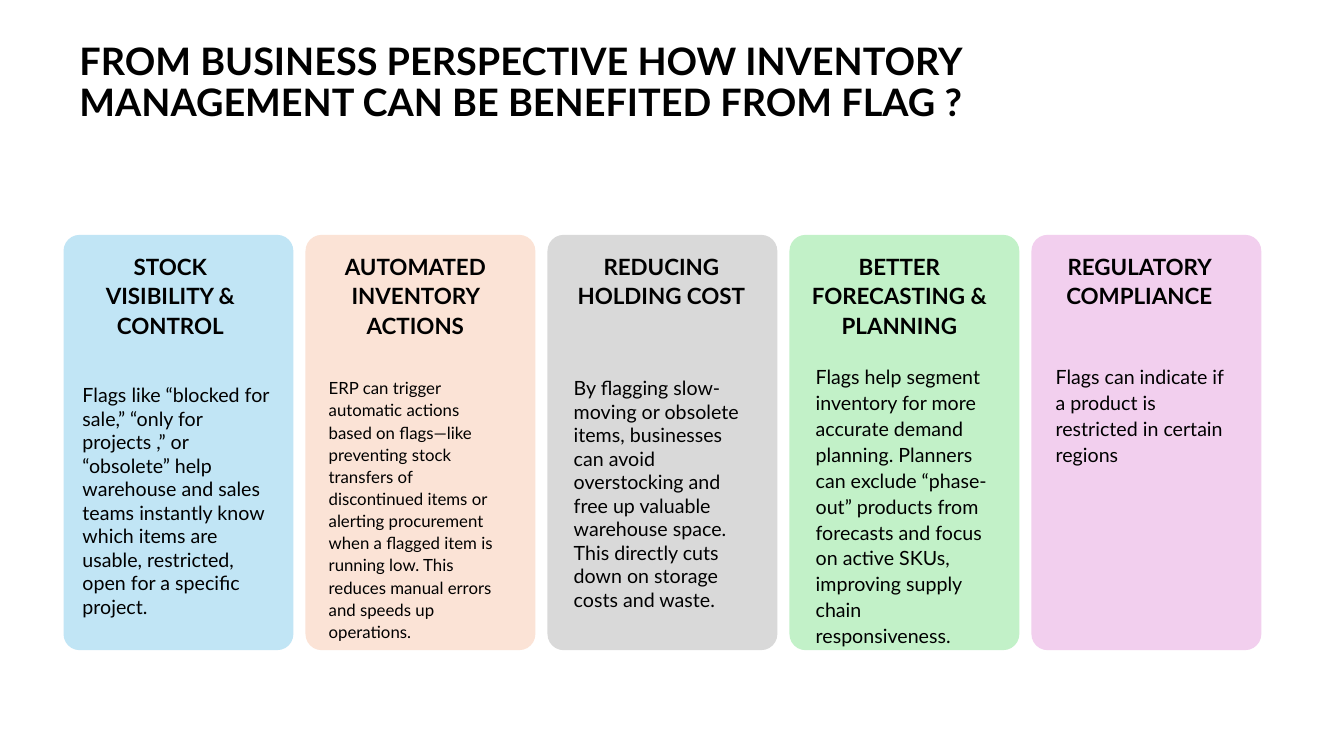
from dataclasses import dataclass

from pptx import Presentation
from pptx import util as u
from pptx.dml.color import RGBColor
from pptx.enum import shapes, text


@dataclass(frozen=True)
class Theme:
    font: str = "Lato"
    ink: str = "000000"
    title_size: int = 27
    heading_size: int = 16
    body_size: int = 14
    small_size: int = 12
    blue: str = "C1E5F5"
    peach: str = "FBE3D6"
    grey: str = "D9D9D9"
    green: str = "C2F1C8"
    pink: str = "F2CFEE"


class SlideBuilder:
    def __init__(self, slide, theme):
        self.slide = slide
        self.theme = theme

    def card(self, left, top, width, height, colour, radius=0.16):
        panel = self.slide.shapes.add_shape(
            shapes.MSO_SHAPE.ROUNDED_RECTANGLE,
            u.Inches(left), u.Inches(top), u.Inches(width), u.Inches(height))
        panel.adjustments[0] = radius / width
        panel.shadow.inherit = False
        panel.fill.solid()
        panel.fill.fore_color.rgb = RGBColor.from_string(colour)
        panel.line.fill.background()

    def text(self, box, wording, size, bold=False, spacing=1.0, insets=(0.12, 0.06),
             align=text.PP_ALIGN.LEFT, anchor=text.MSO_ANCHOR.TOP):
        """Place wording in box (left, top, width, height); insets are (side, top and bottom)."""
        frame = self.slide.shapes.add_textbox(*map(u.Inches, box)).text_frame
        frame.word_wrap = True
        frame.vertical_anchor = anchor
        frame.margin_left = frame.margin_right = u.Inches(insets[0])
        frame.margin_top = frame.margin_bottom = u.Inches(insets[1])
        paragraph = frame.paragraphs[0]
        paragraph.alignment = align
        paragraph.line_spacing = spacing
        run = paragraph.add_run()
        run.text = wording
        run.font.name = self.theme.font
        run.font.size = u.Pt(size)
        run.font.bold = bold
        run.font.color.rgb = RGBColor.from_string(self.theme.ink)


CARD_LEFT, CARD_TOP, CARD_PITCH = 0.63, 2.33, 2.4
CARD_WIDTH, CARD_HEIGHT = 2.28, 4.12
HEADING_TOP, HEADING_WIDTH = 2.42, 2.0
NARROW_INSETS = (0.1, 0.05)


def main():
    theme = Theme()
    deck = Presentation()
    deck.slide_width, deck.slide_height = u.Inches(13.33), u.Inches(7.5)
    builder = SlideBuilder(deck.slides.add_slide(deck.slide_layouts[6]), theme)

    builder.text(
        (0.69, 0.38, 11.5, 0.91),
        "FROM BUSINESS PERSPECTIVE HOW INVENTORY MANAGEMENT CAN BE BENEFITED FROM FLAG ?",
        theme.title_size, bold=True, spacing=0.9, insets=NARROW_INSETS,
        anchor=text.MSO_ANCHOR.MIDDLE)

    # colour, heading left, heading height, heading, benefit box, benefit, benefit style
    benefits = [
        (theme.blue, 0.69, 0.98, "STOCK VISIBILITY & CONTROL", (0.72, 3.75, 2.1, 2.46),
         "Flags like “blocked for sale,” “only for projects ,” or “obsolete” help "
         "warehouse and sales teams instantly know which items are usable, restricted, "
         "open for a specific project.",
         dict(size=theme.body_size, insets=NARROW_INSETS)),
        (theme.peach, 3.12, 0.98, "AUTOMATED INVENTORY ACTIONS", (3.14, 3.67, 2, 2.78),
         "ERP can trigger automatic actions based on flags—like preventing stock "
         "transfers of discontinued items or alerting procurement when a flagged item "
         "is running low. This reduces manual errors and speeds up operations.",
         dict(size=theme.small_size, spacing=1.1)),
        (theme.grey, 5.56, 0.69, "REDUCING HOLDING COST", (5.57, 3.67, 2, 2.48),
         "By flagging slow-moving or obsolete items, businesses can avoid overstocking "
         "and free up valuable warehouse space. This directly cuts down on storage "
         "costs and waste.",
         dict(size=theme.body_size)),
        (theme.green, 7.92, 0.98, "BETTER FORECASTING & PLANNING", (7.97, 3.54, 2, 2.96),
         "Flags help segment inventory for more accurate demand planning. Planners can "
         "exclude “phase-out” products from forecasts and focus on active SKUs, "
         "improving supply chain responsiveness.",
         dict(size=theme.body_size, spacing=1.1)),
        (theme.pink, 10.3, 0.69, "REGULATORY COMPLIANCE", (10.35, 3.54, 2, 1.14),
         "Flags can indicate if a product is restricted in certain regions",
         dict(size=theme.body_size, spacing=1.1)),
    ]
    for column, (colour, heading_left, heading_height, heading,
                 benefit_box, benefit, style) in enumerate(benefits):
        builder.card(CARD_LEFT + column * CARD_PITCH, CARD_TOP,
                     CARD_WIDTH, CARD_HEIGHT, colour)
        builder.text((heading_left, HEADING_TOP, HEADING_WIDTH, heading_height), heading,
                     theme.heading_size, bold=True, spacing=1.1,
                     align=text.PP_ALIGN.CENTER)
        builder.text(benefit_box, benefit, **style)

    deck.save("out.pptx")


if __name__ == "__main__":
    main()
